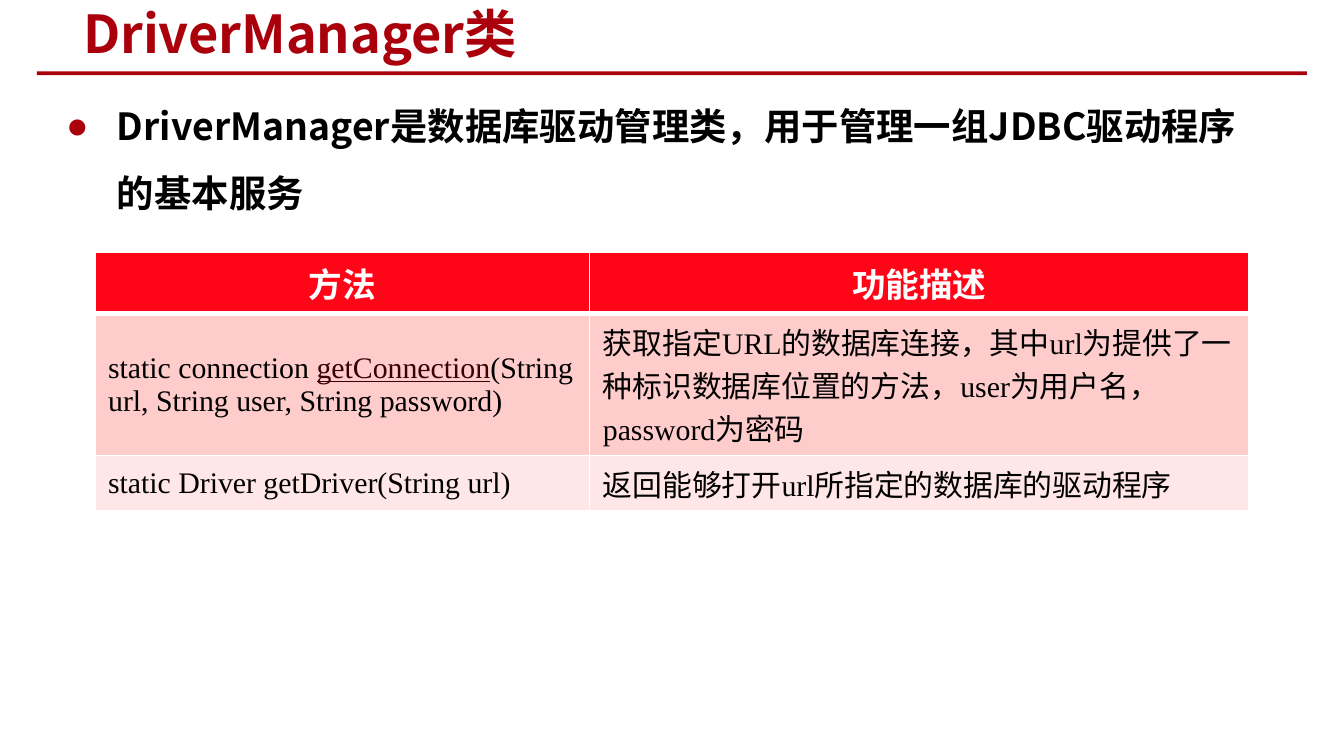
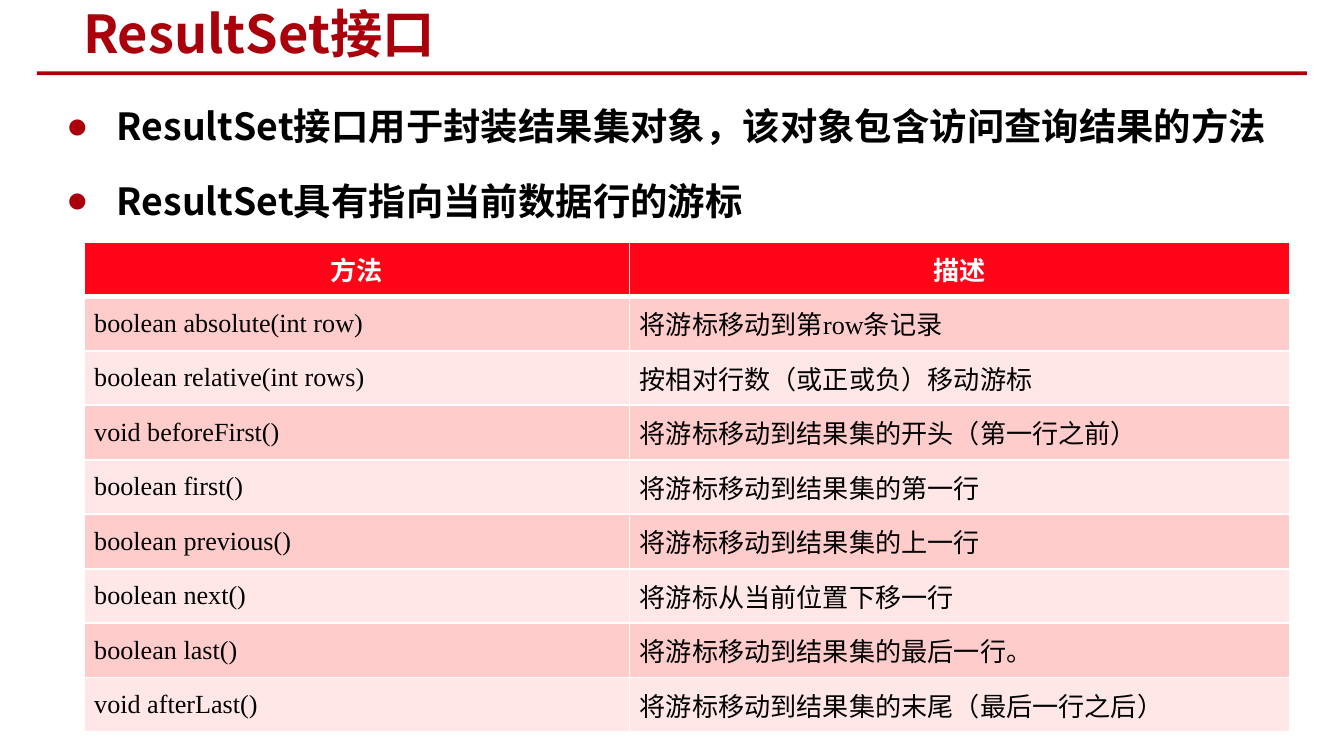
from itertools import groupby

from lxml import etree
from pptx import Presentation
from pptx.dml.color import RGBColor
from pptx.enum.shapes import MSO_SHAPE
from pptx.enum.text import MSO_ANCHOR, PP_ALIGN
from pptx.oxml.ns import qn
from pptx.util import Cm, Pt

RECTANGLE = MSO_SHAPE.RECTANGLE
TOP, MIDDLE = MSO_ANCHOR.TOP, MSO_ANCHOR.MIDDLE
LEFT, CENTER, JUSTIFY = PP_ALIGN.LEFT, PP_ALIGN.CENTER, PP_ALIGN.JUSTIFY

DARK_RED = RGBColor(0xAA, 0x00, 0x0B)
HEADER_RED = RGBColor(0xFF, 0x05, 0x17)
ROW_TINTS = RGBColor(0xFF, 0xCC, 0xCC), RGBColor(0xFF, 0xE7, 0xE8)
LINK_RED = RGBColor(0x3A, 0x00, 0x04)
BLACK = RGBColor(0x00, 0x00, 0x00)
WHITE = RGBColor(0xFF, 0xFF, 0xFF)

CHINESE_FONT = "Noto Sans CJK SC"
CODE_FONT = "Times New Roman"
TEXT_FONT = "Arial"

TITLE_FORMAT = {"name": CHINESE_FONT, "size": Pt(28), "bold": True}
BULLET_FORMAT = {"name": CHINESE_FONT, "size": Pt(20), "bold": True}

DRIVER_ROWS = [
    ("方法", "功能描述"),
    ("static connection getConnection(String url, String user, String password)",
     "获取指定URL的数据库连接，其中url为提供了一种标识数据库位置的方法，user为用户名，password为密码"),
    ("static Driver getDriver(String url)", "返回能够打开url所指定的数据库的驱动程序"),
]
CURSOR_ROWS = [
    ("方法", "描述"),
    ("boolean absolute(int row)", "将游标移动到第row条记录"),
    ("boolean relative(int rows)", "按相对行数（或正或负）移动游标"),
    ("void beforeFirst()", "将游标移动到结果集的开头（第一行之前）"),
    ("boolean first()", "将游标移动到结果集的第一行"),
    ("boolean previous()", "将游标移动到结果集的上一行"),
    ("boolean next()", "将游标从当前位置下移一行"),
    ("boolean last()", "将游标移动到结果集的最后一行。"),
    ("void afterLast()", "将游标移动到结果集的末尾（最后一行之后）"),
]


def apply(target, values):
    for name, value in values.items():
        setattr(target, name, value)


def add_span(para, text, color, values):
    span = para.add_run()
    span.text = text
    apply(span.font, values)
    span.font.color.rgb = color
    east_asian = etree.SubElement(span.font._element, qn("a:ea"))
    east_asian.set("typeface", CHINESE_FONT)


def add_bullet(para):
    properties = para._p.get_or_add_pPr()
    properties.set("marL", str(Cm(0.96)))
    properties.set("indent", str(-Cm(0.96)))
    color = etree.SubElement(properties, qn("a:buClr"))
    etree.SubElement(color, qn("a:srgbClr")).set("val", str(DARK_RED))
    etree.SubElement(properties, qn("a:buFont")).set("typeface", TEXT_FONT)
    etree.SubElement(properties, qn("a:buChar")).set("char", "●")


def fill_cell(cell, color, bottom_width):
    """Draw white borders, then the fill, in the order the format requires."""
    properties = cell._tc.get_or_add_tcPr()
    for side, width in (("L", 1), ("R", 1), ("T", 1), ("B", bottom_width)):
        line = etree.SubElement(properties, qn(f"a:ln{side}"), w=str(Pt(width)))
        fill = etree.SubElement(line, qn("a:solidFill"))
        etree.SubElement(fill, qn("a:srgbClr")).set("val", str(WHITE))
    cell.fill.solid()
    cell.fill.fore_color.rgb = color


class Deck:
    """Holds the presentation and the page being built."""

    def __init__(self):
        self.file = Presentation()
        self.file.slide_width, self.file.slide_height = Cm(25.4), Cm(14.29)
        self.page = None

    def add_page(self, title):
        self.page = self.file.slides.add_slide(self.file.slide_layouts[6])
        rule = self.page.shapes.add_shape(RECTANGLE, Cm(0.7), Cm(1.35), Cm(24), Cm(0.07))
        rule.shadow.inherit = False
        rule.fill.solid()
        rule.fill.fore_color.rgb = DARK_RED
        rule.line.fill.background()
        frame = self.add_box(1.32, 0.05, 17.4, 1.14, MIDDLE)
        add_span(frame.paragraphs[0], title, DARK_RED, TITLE_FORMAT)

    def add_box(self, left, top, width, height, anchor):
        box = self.page.shapes.add_textbox(Cm(left), Cm(top), Cm(width), Cm(height))
        apply(box.text_frame, {"word_wrap": True, "vertical_anchor": anchor})
        return box.text_frame

    def add_bullets(self, lines, width, height):
        frame = self.add_box(1, 1.4, width, height, TOP)
        for index, text in enumerate(lines):
            para = frame.add_paragraph() if index else frame.paragraphs[0]
            add_bullet(para)
            para.line_spacing = 1.5
            if index:
                para.space_before = Pt(4)
            add_span(para, text, BLACK, BULLET_FORMAT)

    def add_table(self, rows, left, top, widths, heights, header_format,
                  body_size, align, margins, linked=None):
        """Add a method table; the word given as linked is underlined."""
        frame = self.page.shapes.add_table(
            len(rows), len(widths), Cm(left), Cm(top),
            Cm(sum(widths)), Cm(sum(heights)))
        table = frame.table
        for column, width in zip(table.columns, widths):
            column.width = Cm(width)
        for index, (texts, height) in enumerate(zip(rows, heights)):
            table.rows[index].height = Cm(height)
            for cell, text in zip(table.rows[index].cells, texts):
                apply(cell, {"vertical_anchor": MIDDLE, **margins})
                para = cell.text_frame.paragraphs[0]
                if index == 0:
                    fill_cell(cell, HEADER_RED, 3)
                    para.alignment = CENTER
                    add_span(para, text, WHITE, {"bold": True, **header_format})
                else:
                    fill_cell(cell, ROW_TINTS[(index - 1) % 2], 1)
                    para.alignment = align
                    self.add_mixed_text(para, text, body_size, linked)

    def add_mixed_text(self, para, text, size, linked):
        """Set Latin parts in the code font and Chinese parts in the text font."""
        pieces = text.partition(linked) if linked else (text,)
        for piece in pieces:
            is_link = piece == linked
            for is_latin, letters in groupby(piece, str.isascii):
                values = {"name": CODE_FONT if is_latin else TEXT_FONT,
                          "size": size, "bold": False, "underline": is_link}
                add_span(para, "".join(letters), LINK_RED if is_link else BLACK, values)


def main():
    deck = Deck()

    deck.add_page("DriverManager类")
    deck.add_bullets(["DriverManager是数据库驱动管理类，用于管理一组JDBC驱动程序的基本服务"],
                     22.8, 4.95)
    deck.add_table(DRIVER_ROWS, 1.79, 4.76, (9.35, 12.47), (1.17, 2.68, 1.05),
                   {"name": "Calibri", "size": Pt(18)}, Pt(16), LEFT, {},
                   linked="getConnection")

    deck.add_page("ResultSet接口")
    deck.add_bullets(["ResultSet接口用于封装结果集对象，该对象包含访问查询结果的方法",
                      "ResultSet具有指向当前数据行的游标"], 23.62, 3.18)
    tight = {"margin_left": Cm(0.19), "margin_right": Cm(0.19),
             "margin_top": 0, "margin_bottom": 0}
    deck.add_table(CURSOR_ROWS, 1.59, 4.57, (10.31, 12.47), [1.03] * len(CURSOR_ROWS),
                   {"name": CODE_FONT, "size": Pt(14)}, Pt(14), JUSTIFY, tight)

    deck.file.save("out.pptx")


if __name__ == "__main__":
    main()
